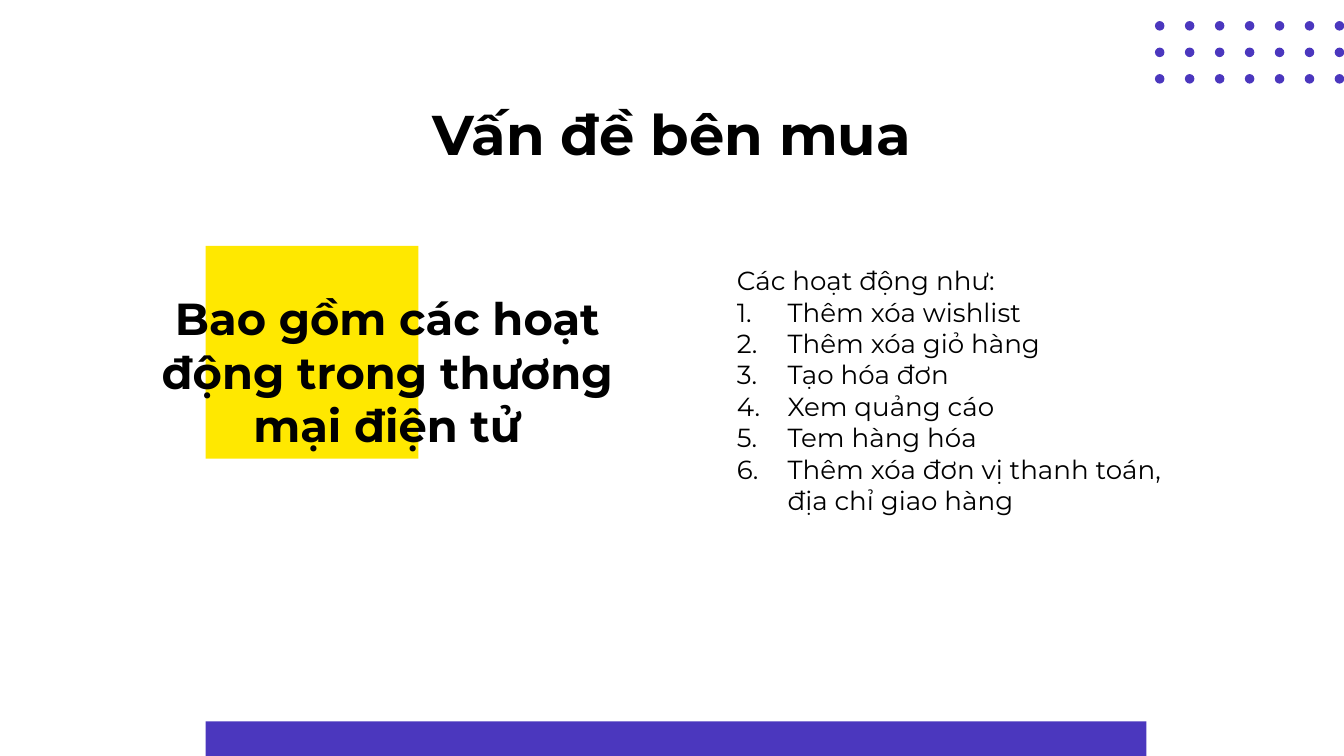
import pptx
import pptx.util
import pptx.dml.color
import pptx.enum.shapes
import pptx.enum.text
import lxml.etree

Pt = pptx.util.Pt
ALIGN = pptx.enum.text.PP_ALIGN
KIND = pptx.enum.shapes.MSO_SHAPE

HEAD = ["Vấn đề bên mua"]
CLAIM = ["Bao gồm các hoạt động trong thương mại điện tử"]
LEAD = "Các hoạt động như:"
STEPS = [
    "Thêm xóa wishlist",
    "Thêm xóa giỏ hàng",
    "Tạo hóa đơn",
    "Xem quảng cáo",
    "Tem hàng hóa",
    "Thêm xóa đơn vị thanh toán, địa chỉ giao hàng",
]

THEME = {
    "font": "Montserrat",
    "ink": "000000",
    "plum": "4B37BE",
    "sun": "FFE800",
    "head": 30,
    "claim": 24,
    "list": 14,
}
PAGE = (720, 405)
BAR = (110.25, 386.5, 504, 18.5)
BLOCK = (110.25, 131.75, 114, 114)
DOTS = {"left": 618.75, "top": 11.3, "size": 5.1, "across": 16.05, "down": 14.2, "cols": 7, "rows": 3}
INDENT = 27.25
INSET = 7.2

TEXTS = [
    {"slot": 2, "box": (387.5, 152, 263.5, 114), "lines": [LEAD] + STEPS,
     "size": "list", "bold": False, "align": ALIGN.LEFT, "count": True},
    {"slot": 0, "box": (57.6, 44.6, 604.8, 54), "lines": HEAD,
     "size": "head", "bold": True, "align": ALIGN.CENTER, "count": False},
    {"slot": 1, "box": (73.5, 152, 268, 93.6), "lines": CLAIM,
     "size": "claim", "bold": True, "align": ALIGN.CENTER, "count": False},
]


def tint(name):
    return pptx.dml.color.RGBColor.from_string(THEME[name])


def apply(thing, vals):
    for key, val in vals.items():
        setattr(thing, key, val)


def draw(group, kind, box, hue):
    shape = group.add_shape(kind, *map(Pt, box))
    shape.shadow.inherit = False
    shape.fill.solid()
    shape.fill.fore_color.rgb = tint(hue)
    shape.line.fill.background()


def mark(para, tag, **vals):
    space = pptx.oxml.ns.qn("a:" + tag)
    return lxml.etree.SubElement(para, space, **vals)


def bullet(para, count):
    props = para._p.get_or_add_pPr()
    edge = Pt(INDENT) if count else 0
    props.set("marL", str(edge))
    props.set("indent", str(-edge))
    if count:
        mark(mark(props, "buClr"), "srgbClr", val=THEME["ink"])
        mark(props, "buFont", typeface=THEME["font"])
        mark(props, "buAutoNum", type="arabicPeriod")
    else:
        mark(props, "buNone")


def write(slide, text):
    holder = slide.placeholders[text["slot"]]
    apply(holder, dict(zip(("left", "top", "width", "height"), map(Pt, text["box"]))))
    frame = holder.text_frame
    apply(frame, {
        "word_wrap": True,
        "auto_size": pptx.enum.text.MSO_AUTO_SIZE.NONE,
        "vertical_anchor": pptx.enum.text.MSO_ANCHOR.MIDDLE,
    })
    apply(frame, {"margin_" + side: Pt(INSET) for side in ("left", "right", "top", "bottom")})
    frame.text = "\n".join(text["lines"])
    for spot, para in enumerate(frame.paragraphs):
        bullet(para, text["count"] and spot > 0)
        apply(para, {"alignment": text["align"], "space_before": Pt(0),
                     "space_after": Pt(0), "line_spacing": 1.0})
        font = para.runs[0].font
        apply(font, {"name": THEME["font"], "size": Pt(THEME[text["size"]]), "bold": text["bold"]})
        font.color.rgb = tint("ink")
    slide.shapes.element.append(holder.element)


def main():
    deck = pptx.Presentation()
    apply(deck, {"slide_width": Pt(PAGE[0]), "slide_height": Pt(PAGE[1])})
    slide = deck.slides.add_slide(deck.slide_layouts[3])
    draw(slide.shapes, KIND.RECTANGLE, BAR, "plum")
    draw(slide.shapes, KIND.RECTANGLE, BLOCK, "sun")
    for text in TEXTS:
        write(slide, text)
    group = slide.shapes.add_group_shape()
    for row in range(DOTS["rows"]):
        for col in range(DOTS["cols"]):
            left = DOTS["left"] + col * DOTS["across"]
            top = DOTS["top"] + row * DOTS["down"]
            draw(group.shapes, KIND.OVAL, (left, top, DOTS["size"], DOTS["size"]), "plum")
    deck.save("out.pptx")


if __name__ == "__main__":
    main()
